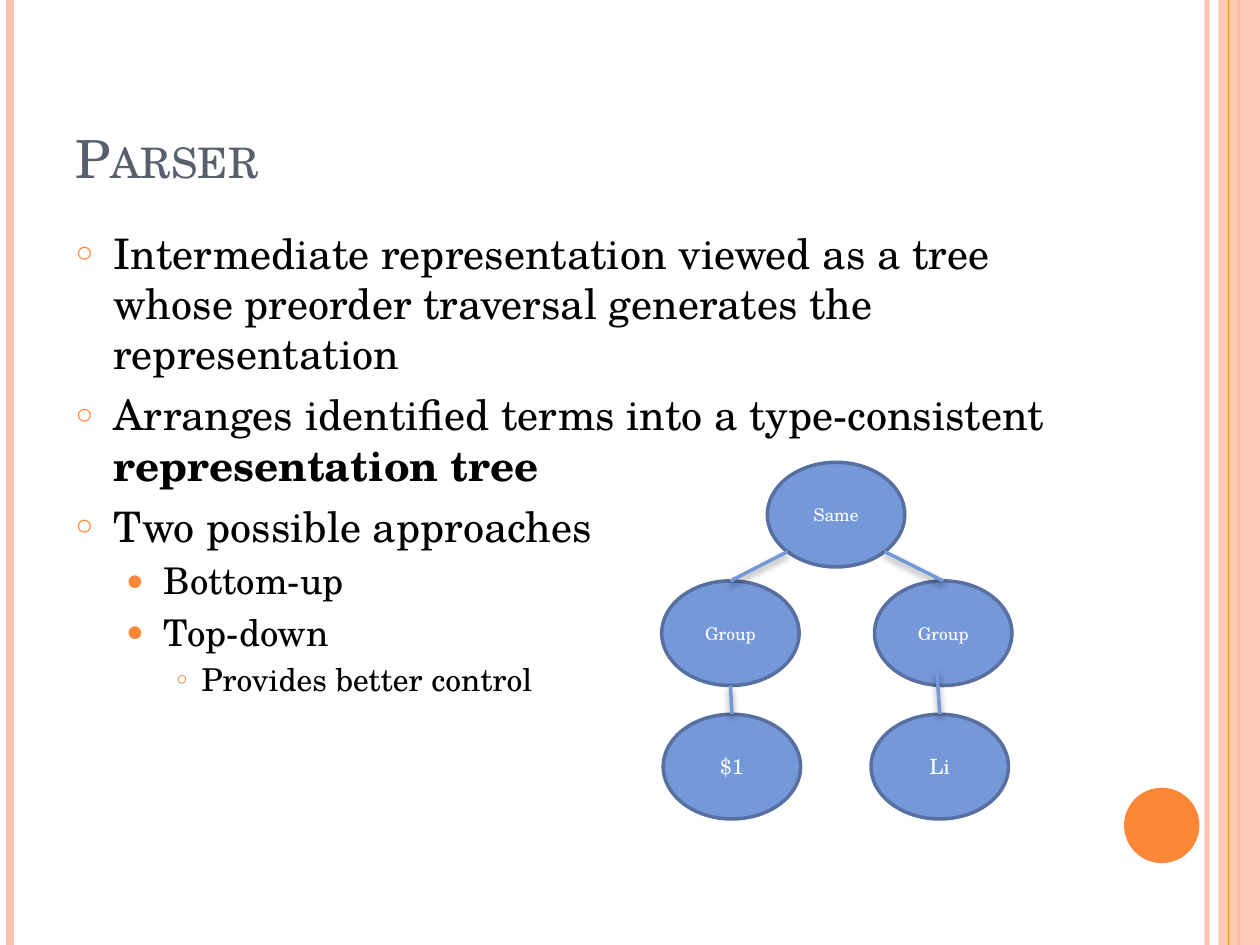
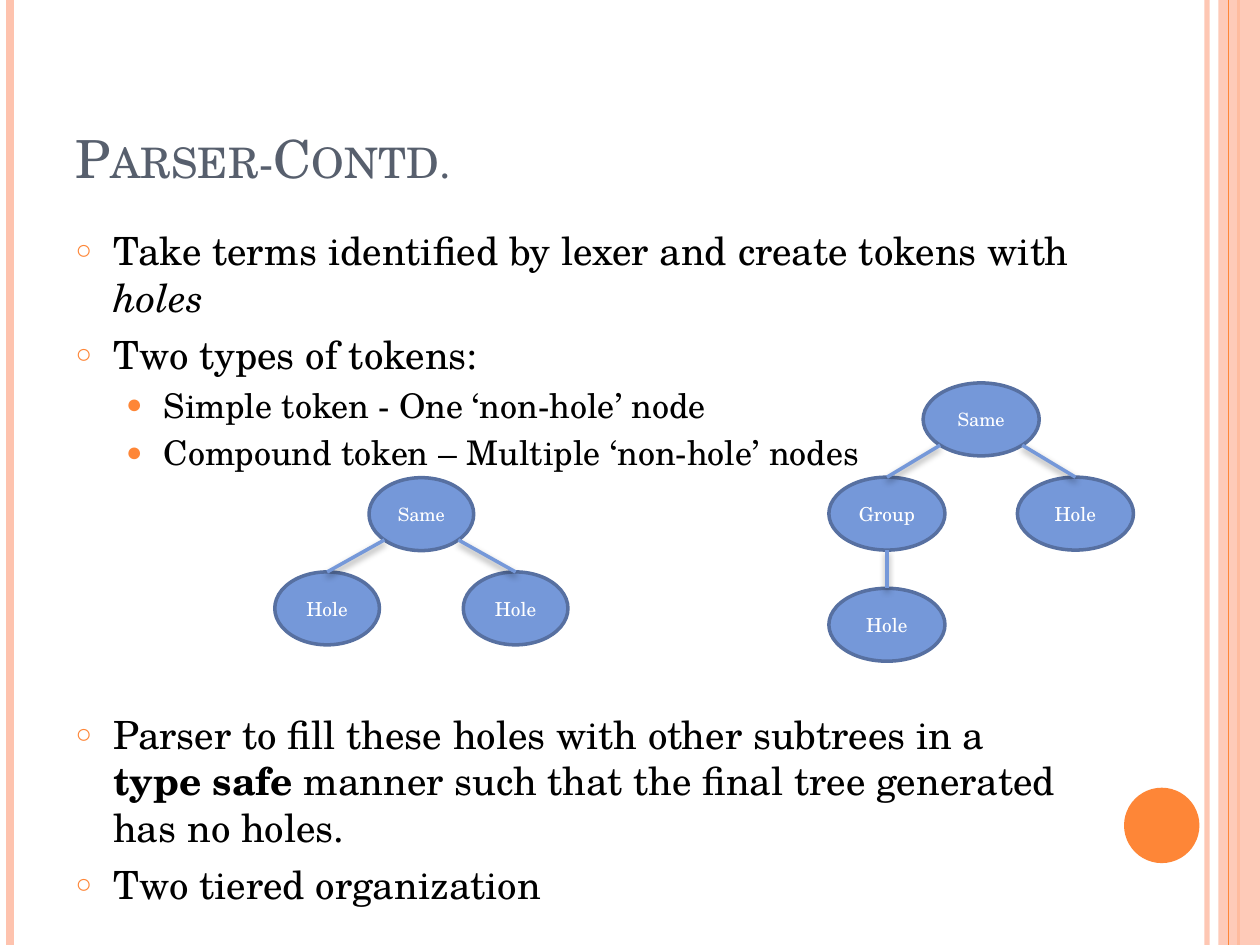
from math import cos, pi, sin

from lxml.etree import SubElement
from pptx import Presentation
from pptx.dml.color import RGBColor
from pptx.enum.shapes import MSO_CONNECTOR as Link, MSO_SHAPE as Kind
from pptx.enum.text import MSO_ANCHOR as Anchor, MSO_AUTO_SIZE as Fit, PP_ALIGN as Align
from pptx.oxml.ns import qn
from pptx.util import Cm, Pt

FONT = "TeX Gyre Schola"
WIDE, HIGH = 25.4, 19.05
ORANGE, RUST, PEACH = "FE8637", "E07631", "FEC3AE"
BLUE, NAVY, SLATE = "7598D9", "5770A1", "575F6D"
BLACK, WHITE = "000000", "FFFFFF"

TITLE_BOX = (1.27, 0.76, 20.75, 3.18)
BODY_BOX = (1.27, 4.45, 20.75, 13.54)
# left margin, hanging indent, bullet, its colour, its size in percent
LEVELS = [
    (0.76, 0.76, "○", ORANGE, 70),
    (1.78, 0.76, "●", ORANGE, 80),
    (2.54, 0.51, "○", RUST, 60),
]


def rgb(code):
    return RGBColor.from_string(code)


def add(parent, tag, **attrs):
    return SubElement(parent, qn(tag), {k: str(v) for k, v in attrs.items()})


def write(para, text, size=24, color=BLACK, bold=False, italic=False, small=False):
    """Append one formatted run to a paragraph."""
    run = para.add_run()
    run.text = text
    font = run.font
    font.name, font.size = FONT, Pt(size)
    font.bold, font.italic = bold, italic
    font.color.rgb = rgb(color)
    if small:
        run._r.get_or_add_rPr().set("cap", "small")


def place(holder, box):
    holder.left, holder.top, holder.width, holder.height = map(Cm, box)
    frame = holder.text_frame
    frame.word_wrap, frame.auto_size = True, Fit.NONE
    return frame


def fade(shape, percent):
    """Make the shape's colours partly transparent."""
    for color in shape.element.iter(qn("a:srgbClr")):
        add(color, "a:alpha", val=percent * 1000)


def solid(shapes, kind, box, fill):
    shape = shapes.add_shape(kind, *map(Cm, box))
    shape.shadow.inherit = False
    shape.fill.solid()
    shape.fill.fore_color.rgb = rgb(fill)
    shape.line.fill.background()
    return shape


def stroke(shapes, start, end, color, width, shadow=False):
    line = shapes.add_connector(Link.STRAIGHT, *map(Cm, (*start, *end)))
    line.line.color.rgb = rgb(color)
    line.line.width = Pt(width)
    effects = add(line.element.spPr, "a:effectLst")
    if shadow:
        cast = add(effects, "a:outerShdw", blurRad=Pt(4), dist=Pt(2),
                   dir=90 * 60000, rotWithShape=0)
        add(add(cast, "a:srgbClr", val=BLACK), "a:alpha", val=40000)
    return line


def dress(layout, slide):
    """Draw the bands and the dot, then hand them to the shared layout."""
    shapes = slide.shapes

    def rule(x, color, width):
        return stroke(shapes, (x, 0), (x, HIGH), color, width)

    inner = rule(24.33, PEACH, 3)
    fade(inner, 93)
    parts = [inner, rule(0.2, PEACH, 4.5), rule(24.97, ORANGE, 1.5)]
    band = solid(shapes, Kind.RECTANGLE, (24.56, 0, WIDE - 24.56, HIGH), PEACH)
    fade(band, 87)
    parts += [band, rule(24.77, ORANGE, 0.75)]
    parts.append(solid(shapes, Kind.OVAL, (22.66, 15.88, 1.52, 1.52), ORANGE))
    for number, part in enumerate(parts, 20):
        next(part.element.iter(qn("p:cNvPr"))).set("id", str(number))
        layout.shapes.element.append(part.element)


def head(slide, text):
    frame = place(slide.shapes.title, TITLE_BOX)
    frame.vertical_anchor = Anchor.BOTTOM
    para = frame.paragraphs[0]
    para.alignment = Align.LEFT
    write(para, text, size=30, color=SLATE, small=True)


def outline(slide, items, sizes):
    """Fill the body; an item is its level, its runs and any extra gap before."""
    frame = place(slide.placeholders[1], BODY_BOX)
    frame.vertical_anchor = Anchor.TOP
    for i, (level, runs, *gap) in enumerate(items):
        para = frame.add_paragraph() if i else frame.paragraphs[0]
        para.level = level
        size = sizes[level]
        para.space_before = Pt(sum(gap) + (0.2 * size if level else 6))
        left, hang, mark, color, percent = LEVELS[level]
        props = para._p.get_or_add_pPr()
        props.set("marL", str(Cm(left)))
        props.set("indent", str(-Cm(hang)))
        add(add(props, "a:buClr"), "a:srgbClr", val=color)
        add(props, "a:buSzPct", val=percent * 1000)
        add(props, "a:buChar", char=mark)
        for text, style in runs:
            write(para, text, size=size, **style)


def tree(slide, origin, node, labels, edges):
    """Draw labels (text, x, y, size) and edges (parent, child, side, shift)."""
    shapes = slide.shapes.add_group_shape().shapes
    wide, high = node
    spots = [(origin[0] + x, origin[1] + y) for _, x, y, _ in labels]
    for (text, _, _, size), spot in zip(labels, spots):
        oval = solid(shapes, Kind.OVAL, (*spot, *node), BLUE)
        oval.line.color.rgb = rgb(NAVY)
        oval.line.width = Pt(2)
        frame = oval.text_frame
        frame.word_wrap = False
        frame.vertical_anchor = Anchor.MIDDLE
        para = frame.paragraphs[0]
        para.alignment = Align.CENTER
        write(para, text, size=size, color=WHITE)
    for parent, child, side, *shift in edges:
        dx, dy = shift[0] if shift else (0, 0)
        x, y = spots[parent]
        turn = side * pi / 4
        start = (x + wide / 2 * (1 + sin(turn)) + dx,
                 y + high / 2 * (1 + cos(turn)) + dy)
        x, y = spots[child]
        stroke(shapes, start, (x + wide / 2, y), BLUE, 2, shadow=True)


def plain(text):
    return [(text, {})]


def parser(slide):
    head(slide, "Parser")
    outline(slide, [
        (0, plain("Intermediate representation viewed as a tree whose preorder "
                  "traversal generates the representation")),
        (0, [("Arranges identified terms into a type-consistent ", {}),
             ("representation tree", {"bold": True})]),
        (0, plain("Two possible approaches")),
        (1, plain("Bottom-up")),
        (1, plain("Top-down")),
        (2, plain("Provides better control")),
    ], (24, 21, 18))
    tree(slide, (13.34, 9.32), (2.77, 2.11), [
        ("Same", 2.13, 0, 10),
        ("Group", 0, 2.39, 10),
        ("Group", 4.29, 2.39, 10),
        ("$1", 0.03, 5.08, 12),
        ("Li", 4.22, 5.08, 12),
    ], [(0, 1, -1), (0, 2, 1), (1, 3, 0), (2, 4, 0, (-0.13, -0.3))])


def tokens(slide):
    head(slide, "Parser-Contd.")
    outline(slide, [
        (0, [("Take terms identified by lexer and create tokens with ", {}),
             ("holes", {"italic": True})]),
        (0, plain("Two types of tokens:")),
        (1, plain("Simple token - One ‘non-hole’ node")),
        (1, plain("Compound token – Multiple ‘non-hole’ nodes")),
        (0, [("Parser to fill these holes with other subtrees in a ", {}),
             ("type safe", {"bold": True}),
             (" manner such that the final tree generated has no holes.", {})], 130),
        (0, plain("Two tiered organization")),
    ], (22.2, 19.4))
    step = 1.9
    top, right = ("Same", step, 0, 10.5), ("Hole", 2 * step, step, 11)
    fork = [(0, 1, -1), (0, 2, 1)]
    tree(slide, (5.54, 9.63), (2.11, 1.47),
         [top, ("Hole", 0, step, 11), right], fork)
    tree(slide, (16.71, 7.72), (2.34, 1.47),
         [top, ("Group", 0, step, 11), right, ("Hole", 0, 4.14, 11)],
         fork + [(1, 3, 0)])


def main():
    deck = Presentation()
    deck.slide_width, deck.slide_height = Cm(WIDE), Cm(HIGH)
    layout = deck.slide_layouts[1]
    for i, build in enumerate((parser, tokens)):
        slide = deck.slides.add_slide(layout)
        if i == 0:
            dress(layout, slide)
        build(slide)
    deck.save("out.pptx")


if __name__ == "__main__":
    main()
